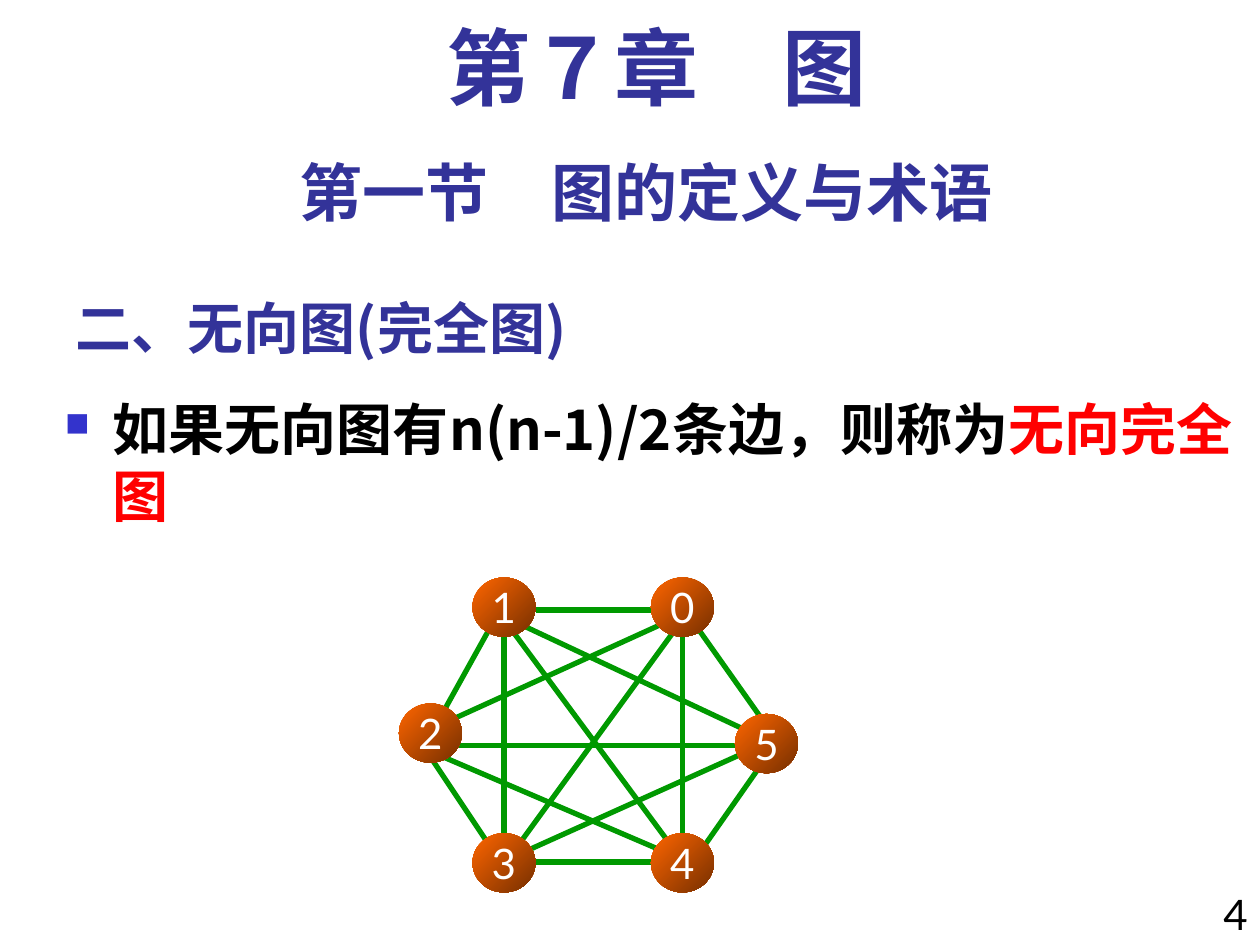
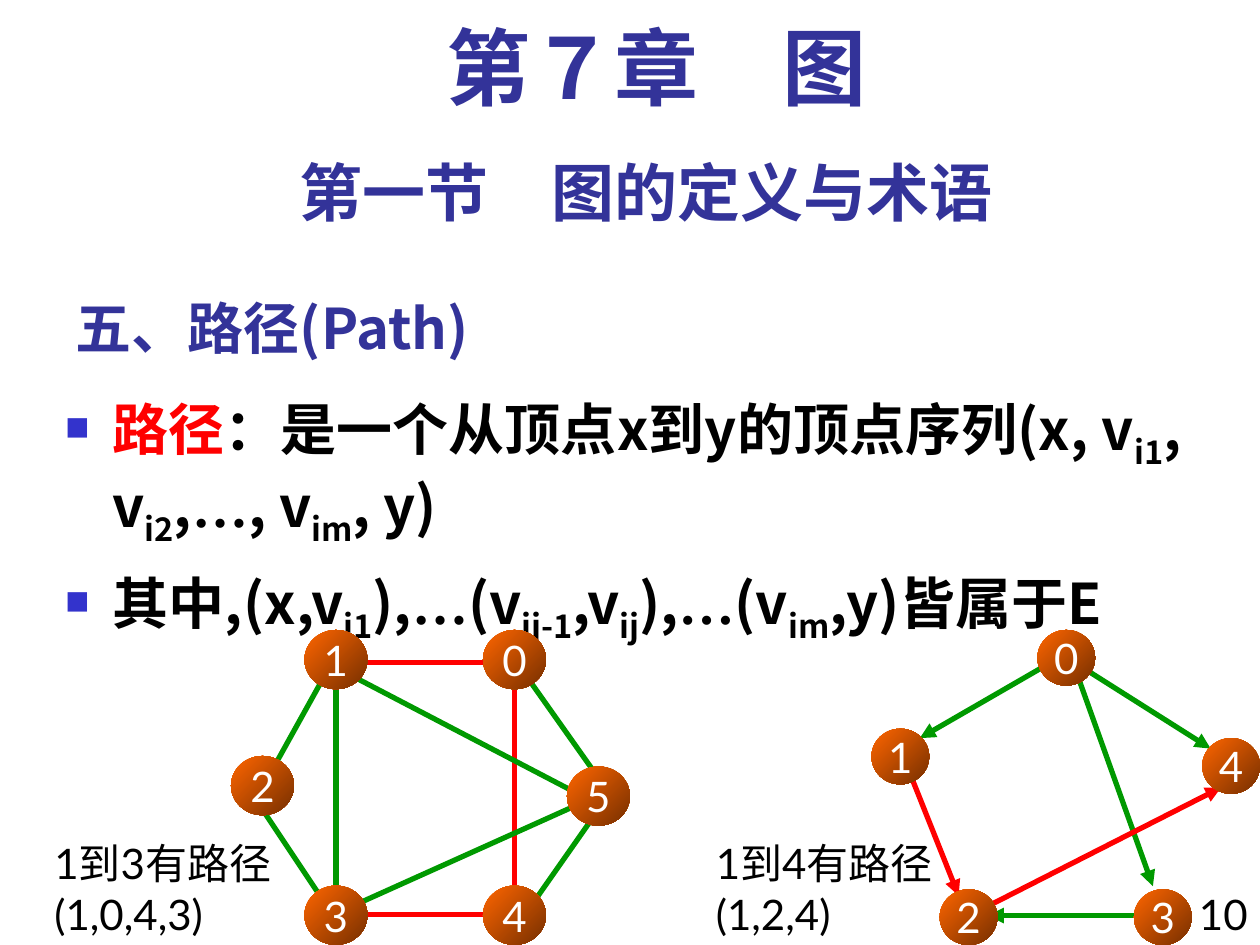
from lxml.etree import SubElement
from pptx import Presentation
from pptx.dml.color import RGBColor
from pptx.enum.shapes import MSO_CONNECTOR as Connector, MSO_SHAPE as Preset
from pptx.enum.text import MSO_ANCHOR as Anchor, MSO_AUTO_SIZE as AutoSize, PP_ALIGN as Align
from pptx.oxml.ns import qn
from pptx.util import Inches, Pt

# Shared style: a grid of 120 columns by 90 rows
COLUMNS, ROWS = 120, 90
INDIGO = RGBColor(0x33, 0x33, 0x99)
BULLET_BLUE = RGBColor(0x33, 0x33, 0xCC)
BLACK = RGBColor(0, 0, 0)
WHITE = RGBColor(0xFF, 0xFF, 0xFF)
RED = RGBColor(0xFF, 0, 0)
GREEN = RGBColor(0, 0x99, 0)
ORANGE = RGBColor(0xFF, 0x66, 0)
BROWN = RGBColor(0x76, 0x2F, 0)
SANS, LATIN, SERIF = "Noto Sans CJK SC", "Lato", "Times New Roman"

CHAPTER = {"name": SERIF, "size": Pt(48), "bold": True, "color": INDIGO}
SECTION = {"name": LATIN, "size": Pt(36), "bold": True, "color": INDIGO}
HEADING = {"name": SANS, "size": Pt(32), "bold": True, "color": INDIGO}
BODY = HEADING | {"color": BLACK}
KEY = BODY | {"color": RED}
SUBSCRIPT = BODY | {"baseline": -25000}
DOTS = BODY | {"name": SERIF}
LABEL = {"name": LATIN, "size": Pt(24), "bold": False, "color": BLACK}
NODE = LABEL | {"color": WHITE}

# Six-vertex graph: node corners and edge ends, relative to the graph's corner
HEXAGON_NODES = {1: (7, 0), 3: (7, 24.35), 2: (0, 12), 5: (32, 13), 4: (24, 24.35), 0: (24, 0)}
HEXAGON_EDGES = {
    (0, 1): (25, 3.1, 13, 3.1),
    (0, 4): (27, 5.1, 27, 25.2),
    (0, 5): (28, 4.2, 35, 14.1),
    (1, 2): (9, 4.2, 4, 13.2),
    (1, 3): (10, 5.1, 10, 26.1),
    (1, 5): (11, 4.2, 34, 15),
    (2, 3): (3, 17.1, 9, 26.1),
    (3, 4): (11, 27.1, 26, 27.1),
    (3, 5): (12, 26.1, 34, 16.2),
    (4, 5): (28, 27.1, 35, 17.1),
    (1, 4): (10, 4, 27, 27),
    (0, 3): (27, 4, 11, 26),
    (0, 2): (26, 4, 4, 14),
    (2, 5): (4, 16, 34, 16),
    (2, 4): (4, 17, 25, 26),
}
HEXAGON_SIZE = (6, 5.64)

# Five-vertex directed graph
DIGRAPH_NODES = {1: (0, 9.4), 3: (25, 24.7), 2: (6.5, 24.7), 4: (31.5, 10.3), 0: (15.8, 0)}
DIGRAPH_EDGES = {
    (0, 4): (20.3, 3.7, 32.3, 11.3),
    (1, 2): (3.8, 14, 8.3, 25.3),
    (0, 1): (17.6, 2.8, 4.6, 10.3),
    (0, 3): (19.4, 3.7, 26.8, 24.4),
    (3, 2): (25, 27.2, 11.1, 27.2),
    (2, 4): (11.1, 26.3, 33.3, 15),
}
DIGRAPH_SIZE = (5.5, 5.3)


class Deck:
    """Holds the presentation, its grid and the current slide."""

    def __init__(self):
        self.presentation = Presentation()
        self.presentation.slide_width = Inches(10)
        self.presentation.slide_height = Inches(7.5)
        self.slide = None

    def grid(self, *lengths):
        """Turn alternating column and row counts into lengths."""
        units = (self.presentation.slide_width / COLUMNS, self.presentation.slide_height / ROWS)
        return [round(length * units[index % 2]) for index, length in enumerate(lengths)]

    def add_runs(self, paragraph, runs):
        for text, style in runs:
            run = paragraph.add_run()
            run.text = text
            for name in ("name", "size", "bold"):
                setattr(run.font, name, style[name])
            run.font.color.rgb = style["color"]
            properties = run._r.get_or_add_rPr()
            SubElement(properties, qn("a:ea"), typeface=SANS)
            if "baseline" in style:
                properties.set("baseline", str(style["baseline"]))

    def new_slide(self, heading, number):
        self.slide = self.presentation.slides.add_slide(self.presentation.slide_layouts[5])
        title = self.slide.shapes.title
        title.left, title.top, title.width, title.height = self.grid(6, 26, 75, 9)
        frame = title.text_frame
        frame.auto_size, frame.vertical_anchor = AutoSize.NONE, Anchor.BOTTOM
        frame.paragraphs[0].alignment = Align.LEFT
        self.add_runs(frame.paragraphs[0], [(heading, HEADING)])
        # Chapter, section and page number
        chapter = self.text((8, 2, 109, 10), "第７章　图", CHAPTER, Align.CENTER)
        chapter.text_frame.paragraphs[0].line_spacing = 0.9
        self.text((6, 14, 111, 8.4), "第一节　图的定义与术语", SECTION, Align.CENTER)
        self.text((112, 84, 8, 7), number, LABEL, Align.RIGHT)

    def text(self, place, text, style, alignment=Align.LEFT):
        box = self.slide.shapes.add_textbox(*self.grid(*place))
        box.text_frame.word_wrap = True
        paragraph = box.text_frame.paragraphs[0]
        paragraph.alignment = alignment
        self.add_runs(paragraph, [(text, style)])
        return box

    def bullets(self, place, items):
        frame = self.slide.shapes.add_textbox(*self.grid(*place)).text_frame
        frame.word_wrap = True
        for index, runs in enumerate(items):
            paragraph = frame.add_paragraph() if index else frame.paragraphs[0]
            if index:
                paragraph.space_before = Pt(12)
            properties = paragraph._p.get_or_add_pPr()
            properties.set("marL", str(Inches(0.38)))
            properties.set("indent", str(-Inches(0.38)))
            color = SubElement(properties, qn("a:buClr"))
            SubElement(color, qn("a:srgbClr"), val=str(BULLET_BLUE))
            SubElement(properties, qn("a:buSzPct"), val="60000")
            SubElement(properties, qn("a:buChar"), char="■")
            self.add_runs(paragraph, runs)

    def edge(self, ends, color, arrow):
        line = self.slide.shapes.add_connector(Connector.STRAIGHT, *self.grid(*ends))
        line.line.color.rgb, line.line.width = color, Pt(3)
        if arrow:
            SubElement(line.line._get_or_add_ln(), qn("a:tailEnd"), type="triangle")
        SubElement(line._element.spPr, qn("a:effectLst"))

    def node(self, place, label):
        circle = self.slide.shapes.add_shape(Preset.OVAL, *self.grid(*place))
        circle.shadow.inherit = False
        circle.line.fill.background()
        circle.fill.gradient()
        circle.fill.gradient_angle = 315
        for stop, color, position in zip(circle.fill.gradient_stops, (ORANGE, BROWN), (0, 1)):
            stop.color.rgb, stop.position = color, position
        frame = circle.text_frame
        layout = {"margin_left": 0, "margin_right": 0, "word_wrap": False,
                  "vertical_anchor": Anchor.MIDDLE}
        for name, value in layout.items():
            setattr(frame, name, value)
        frame.paragraphs[0].alignment = Align.CENTER
        self.add_runs(frame.paragraphs[0], [(str(label), NODE)])

    def graph(self, corner, nodes, edges, size, red=(), arrow=False):
        """Draw the edges, then the nodes over their ends."""
        left, top = corner
        for pair, (x1, y1, x2, y2) in edges.items():
            ends = (left + x1, top + y1, left + x2, top + y2)
            self.edge(ends, RED if pair in red else GREEN, arrow)
        for label, (x, y) in nodes.items():
            self.node((left + x, top + y, *size), label)


def complete_graph_slide(deck):
    deck.new_slide("二、无向图(完全图)", "4")
    deck.bullets((5, 37, 115, 33), [
        [("如果无向图有n(n-1)/2条边，则称为", BODY), ("无向完全图", KEY)],
    ])
    deck.graph((38, 55), HEXAGON_NODES, HEXAGON_EDGES, HEXAGON_SIZE)


def path_slide(deck):
    deck.new_slide("五、路径(Path)", "10")
    deck.bullets((5, 37, 115, 53), [
        [("路径", KEY), ("：是一个从顶点x到y的顶点序列(x, v", BODY), ("i1", SUBSCRIPT),
         (", v", BODY), ("i2", SUBSCRIPT), (",", BODY), ("…", DOTS), (", v", BODY),
         ("im", SUBSCRIPT), (", y)", BODY)],
        [("其中,(x,v", BODY), ("i1", SUBSCRIPT), ("),", BODY), ("…", DOTS), ("(v", BODY),
         ("ij-1", SUBSCRIPT), (",v", BODY), ("ij", SUBSCRIPT), ("),", BODY), ("…", DOTS),
         ("(v", BODY), ("im", SUBSCRIPT), (",y)皆属于E", BODY)],
    ])
    # Directed graph with the path 1, 2, 4
    deck.graph((83, 60), DIGRAPH_NODES, DIGRAPH_EDGES, DIGRAPH_SIZE,
               red={(1, 2), (2, 4)}, arrow=True)
    # Undirected graph with the path 1, 0, 4, 3
    missing = {(1, 4), (0, 3), (0, 2), (2, 5), (2, 4)}
    edges = {pair: ends for pair, ends in HEXAGON_EDGES.items() if pair not in missing}
    edges[1, 5] = (11, 4.1, 34, 16.1)
    deck.graph((22, 60), HEXAGON_NODES, edges, HEXAGON_SIZE, red={(0, 1), (0, 4), (3, 4)})
    # Captions
    for left, caption in ((4, "1到3有路径(1,0,4,3)"), (67, "1到4有路径(1,2,4)")):
        deck.text((left, 79.2, 24, 10.8), caption, LABEL)


def main():
    deck = Deck()
    complete_graph_slide(deck)
    path_slide(deck)
    deck.presentation.save("out.pptx")


if __name__ == "__main__":
    main()
